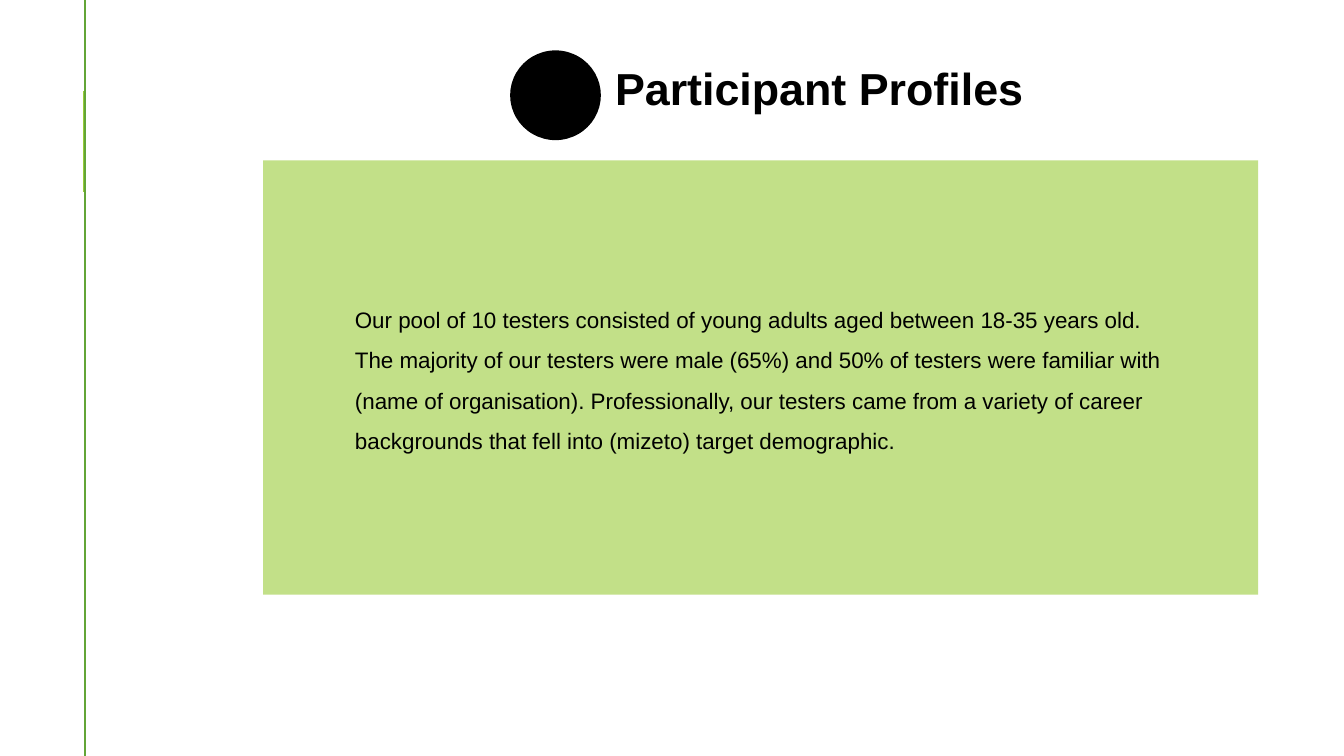
from dataclasses import dataclass

from lxml import etree
from pptx import Presentation
from pptx.dml.color import RGBColor
from pptx.enum import shapes, text
from pptx.util import Inches, Pt

TITLE = "Participant Profiles"
PROFILE = (
    "Our pool of 10 testers consisted of young adults aged between 18-35 years old. "
    "The majority of our testers were male (65%) and 50% of testers were familiar with "
    "(name of organisation). Professionally, our testers came from a variety of career "
    "backgrounds that fell into (mizeto) target demographic."
)
RULES = [
    (0.83, 1.9, 0.9, "99CB38", 1.5),
    (0.84, 0, 7.5, "63A537", 1.25),
]
TITLE_BOX = (5.97, 0.47, 4.5, 0.78)
PROFILE_BOX = (3.39, 2.91, 8.42, 1.59)


@dataclass(frozen=True)
class Theme:
    font: str = "Arial"
    ink: str = "000000"
    paper: str = "FFFFFF"
    panel: str = "C2E088"
    title_size: int = 32
    body_size: int = 16
    inset: float = 0.13


THEME = Theme()
PANELS = [
    (shapes.MSO_SHAPE.RECTANGLE, (2.61, 1.59, 9.87, 4.31), THEME.panel),
    (shapes.MSO_SHAPE.FLOWCHART_CONNECTOR, (5.06, 0.5, 0.9, 0.89), THEME.ink),
]


def colour(target, value):
    target.solid()
    target.fore_color.rgb = RGBColor.from_string(value)


def add_rule(slide, x, start, end, tint, weight):
    rule = slide.shapes.add_connector(
        shapes.MSO_CONNECTOR.STRAIGHT, *map(Inches, (x, start, x, end))
    )
    colour(rule.line.fill, tint)
    rule.line.width = Pt(weight)
    etree.SubElement(
        rule._element.spPr,
        "{http://schemas.openxmlformats.org/drawingml/2006/main}effectLst",
    )


def add_panel(slide, kind, box, tint):
    panel = slide.shapes.add_shape(kind, *map(Inches, box))
    panel.shadow.inherit = False
    colour(panel.fill, tint)
    panel.line.fill.background()


def write(holder, words, size, bold, spacing, anchor):
    frame = holder.text_frame
    frame.text = words
    inset = Inches(THEME.inset)
    layout = {
        "word_wrap": True,
        "auto_size": text.MSO_AUTO_SIZE.NONE,
        "vertical_anchor": anchor,
        "margin_left": inset,
        "margin_top": inset,
        "margin_right": inset,
        "margin_bottom": inset,
    }
    paragraph = frame.paragraphs[0]
    line = {"alignment": text.PP_ALIGN.LEFT, "line_spacing": spacing}
    font = paragraph.runs[0].font
    style = {"name": THEME.font, "size": Pt(size), "bold": bold}
    for target, values in ((frame, layout), (paragraph, line), (font, style)):
        for key, value in values.items():
            setattr(target, key, value)
    font.color.rgb = RGBColor.from_string(THEME.ink)


def main():
    deck = Presentation()
    deck.slide_width, deck.slide_height = Inches(13.33), Inches(7.5)
    slide = deck.slides.add_slide(deck.slide_layouts[5])
    colour(slide.background.fill, THEME.paper)

    title = slide.shapes.title
    title.left, title.top, title.width, title.height = map(Inches, TITLE_BOX)
    colour(title.fill, THEME.paper)
    write(title, TITLE, THEME.title_size, True, 1.0, text.MSO_ANCHOR.TOP)

    for panel in PANELS:
        add_panel(slide, *panel)
    for rule in RULES:
        add_rule(slide, *rule)

    profile = slide.shapes.add_textbox(*map(Inches, PROFILE_BOX))
    write(profile, PROFILE, THEME.body_size, False, 1.5, text.MSO_ANCHOR.MIDDLE)

    deck.save("out.pptx")


if __name__ == "__main__":
    main()
